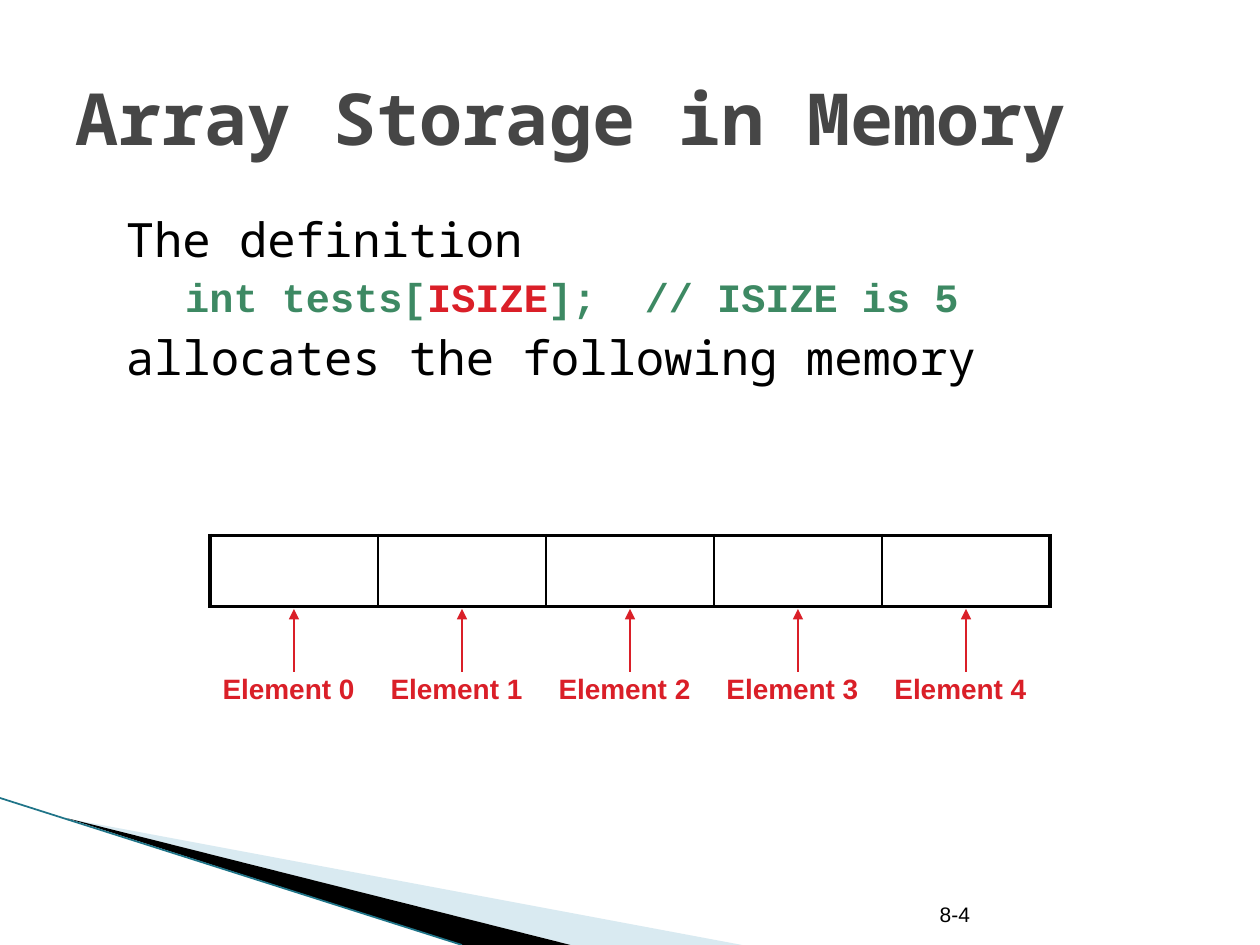
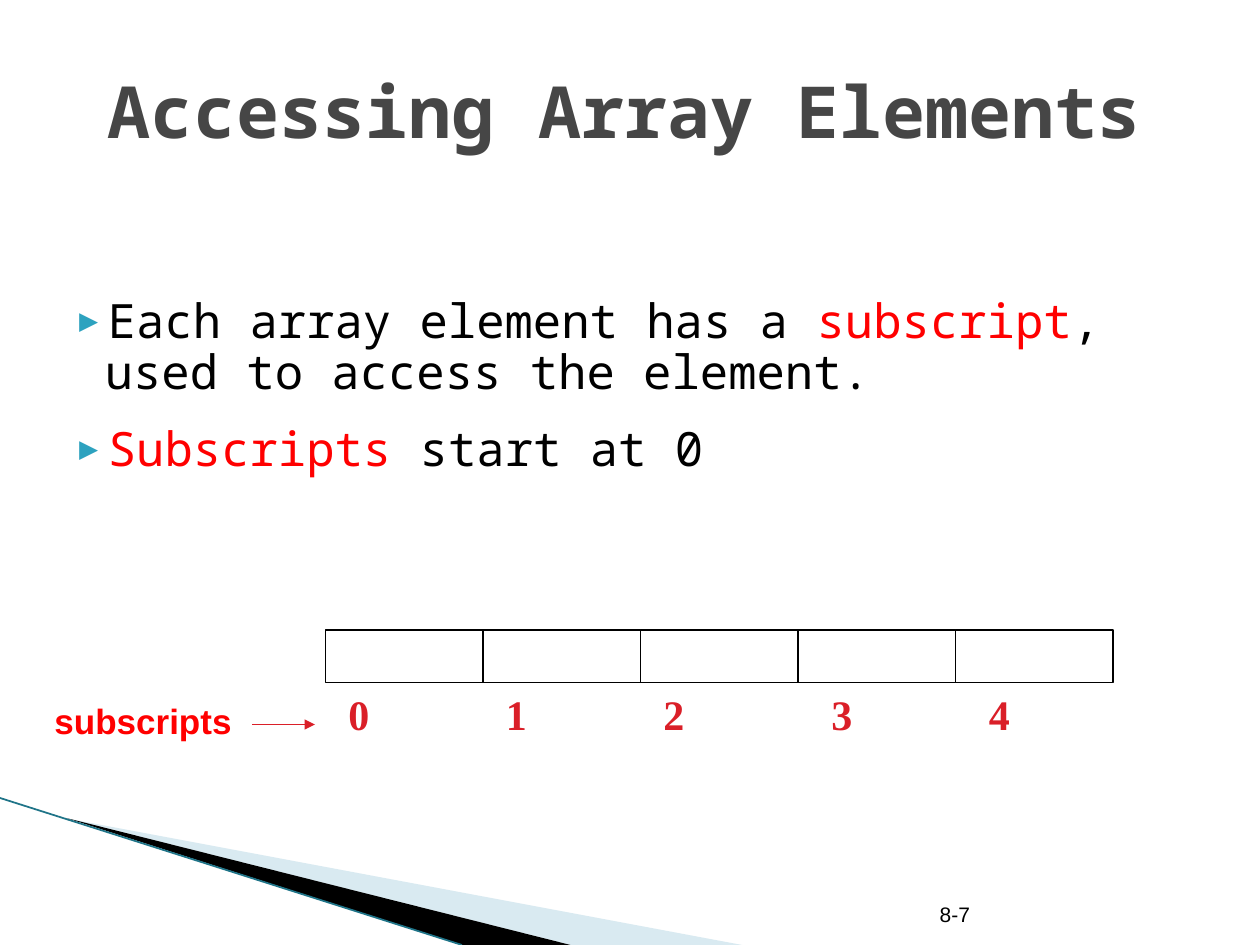
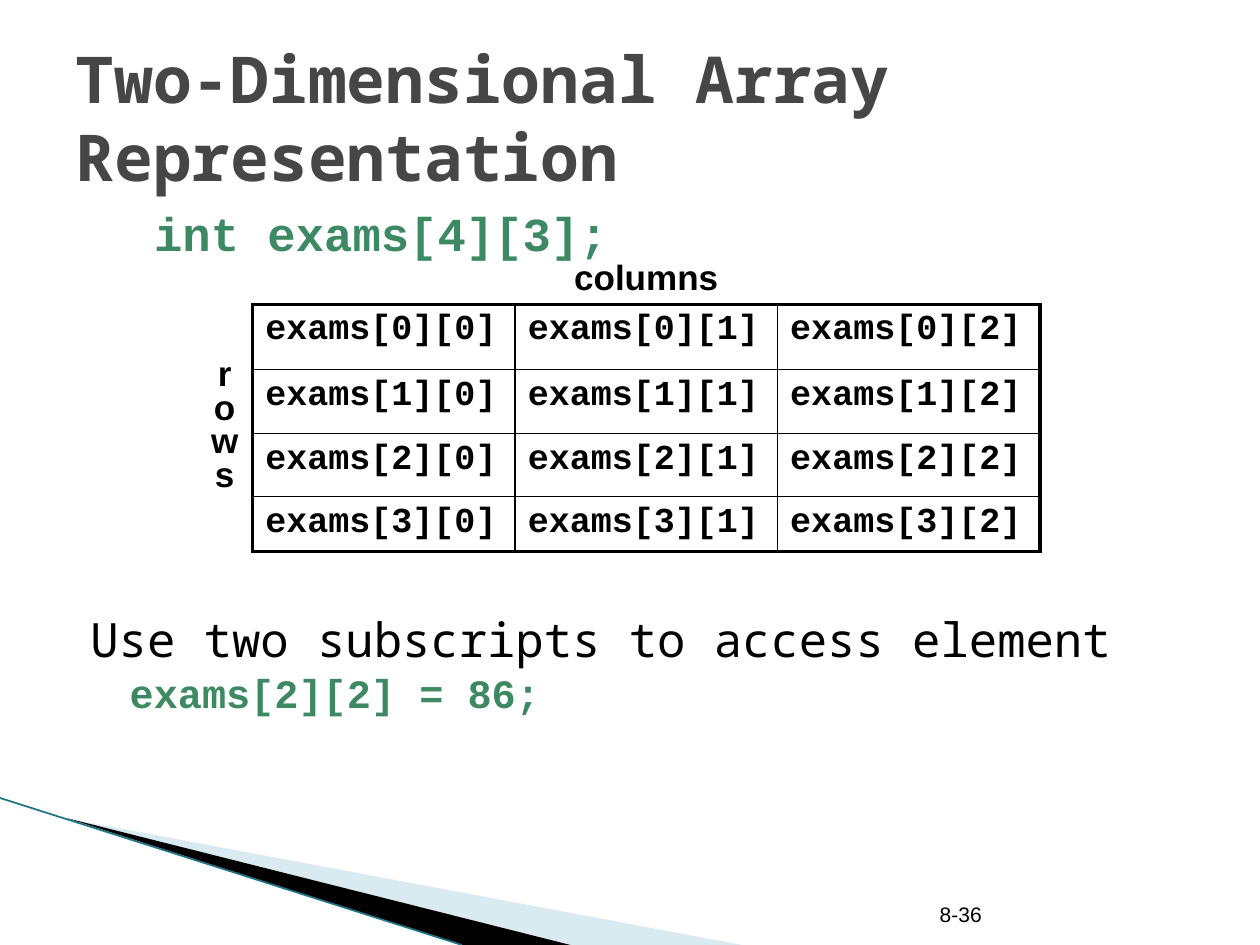
from dataclasses import dataclass
from typing import NamedTuple

from lxml.etree import SubElement
from pptx import Presentation
from pptx.dml.color import RGBColor
from pptx.enum.shapes import MSO_CONNECTOR, MSO_SHAPE
from pptx.enum.text import MSO_ANCHOR, MSO_AUTO_SIZE, PP_ALIGN
from pptx.oxml.ns import qn
from pptx.util import Pt

STRAIGHT = MSO_CONNECTOR.STRAIGHT
RECT = MSO_SHAPE.RECTANGLE
MIDDLE, BOTTOM = MSO_ANCHOR.MIDDLE, MSO_ANCHOR.BOTTOM
NO_FIT = MSO_AUTO_SIZE.NONE
LEFT, CENTER = PP_ALIGN.LEFT, PP_ALIGN.CENTER


@dataclass(frozen=True)
class Theme:
    ink: str = "000000"
    head: str = "464646"
    code: str = "3D8963"
    mark: str = "DA1F28"
    alert: str = "FF0000"
    bullet: str = "2DA2BF"
    glow: str = "A0CBDC"
    edge: str = "1F7488"
    mono: str = "Noto Sans Mono"
    fixed: str = "Courier New"
    sans: str = "Arial"
    serif: str = "Times New Roman"
    title: float = 41
    long: float = 36.9
    body: float = 27
    sub: float = 23
    digit: float = 24
    label: float = 20
    small: float = 16
    page: float = 12
    lead: float = 1.2
    thick: float = 2.25
    thin: float = 1
    hair: float = 0.75


T = Theme()


class Box(NamedTuple):
    x: float
    y: float
    w: float
    h: float


class Style(NamedTuple):
    size: float
    face: str = T.sans
    tint: str = T.ink
    bold: bool = False


class Bit(NamedTuple):
    text: str
    style: Style


class Line(NamedTuple):
    bits: list[Bit]
    left: float
    gap: float = 4
    tight: float = 1
    bullet: bool = False


BODY = Style(T.body, T.mono)
ALERT = BODY._replace(tint=T.alert)
CODE = Style(T.sub, T.fixed, T.code, True)
LABEL = Style(T.label, bold=True)
CELL = LABEL._replace(face=T.fixed)
SMALL = Style(T.small, tint=T.mark, bold=True)
DIGIT = Style(T.digit, T.serif, T.mark, True)
MAIN = Box(36, 116.6, 648, 356.4)
HEAD = Box(36, 21.6, 648, 90)


def pts(*vals: float) -> list[Pt]:
    return [Pt(v) for v in vals]


def rgb(tint: str) -> RGBColor:
    return RGBColor.from_string(tint)


def ink(font, style: Style) -> None:
    font.name, font.size, font.bold = style.face, Pt(style.size), style.bold
    font.color.rgb = rgb(style.tint)


def dress(frame, style: Style, align=LEFT) -> None:
    for para in frame.paragraphs:
        para.alignment = align
        for run in para.runs:
            ink(run.font, style)


def label(slide, box: Box, text: str, style: Style, align=LEFT):
    frame = slide.shapes.add_textbox(*pts(*box)).text_frame
    frame.word_wrap = True
    frame.text = text
    dress(frame, style, align)
    return frame


def body(slide, box: Box, lines: list[Line]) -> None:
    """Fill a text box with lines whose height is a fixed share of their size."""
    frame = slide.shapes.add_textbox(*pts(*box)).text_frame
    frame.word_wrap = True
    for i, line in enumerate(lines):
        para = frame.add_paragraph() if i else frame.paragraphs[0]
        for bit in line.bits:
            run = para.add_run()
            run.text = bit.text
            ink(run.font, bit.style)
        para.space_before = Pt(line.gap)
        para.line_spacing = Pt(line.bits[0].style.size * T.lead * line.tight)
        props = para._p.get_or_add_pPr()
        props.set("marL", str(Pt(line.left)))
        if line.bullet:
            props.set("indent", str(Pt(-20.2)))
            SubElement(SubElement(props, qn("a:buClr")), qn("a:srgbClr"), val=T.bullet)
            SubElement(props, qn("a:buSzPct"), val="68000")
            SubElement(props, qn("a:buFont"), typeface=T.mono)
            SubElement(props, qn("a:buChar"), char="▶")


def link(slide, x: float, y: float, x2: float, y2: float,
         tint: str = T.mark, width: float = T.hair, arrow: bool = True) -> None:
    wire = slide.shapes.add_connector(STRAIGHT, *pts(x, y, x2, y2))
    wire.line.color.rgb, wire.line.width = rgb(tint), Pt(width)
    if arrow:
        SubElement(wire.element.spPr.find(qn("a:ln")), qn("a:tailEnd"), type="triangle")
    SubElement(wire.element.spPr, qn("a:effectLst"))


def wedge(slide, dots: list[tuple[float, float]], tint: str):
    first, *rest = [tuple(pts(*dot)) for dot in dots]
    path = slide.shapes.build_freeform(*first)
    path.add_line_segments(rest)
    shape = path.convert_to_shape()
    shape.shadow.inherit = False
    shape.fill.solid()
    shape.fill.fore_color.rgb = rgb(tint)
    shape.line.fill.background()
    return shape


def start(deck, title: str, page: str, box: Box = HEAD,
          size: float = T.title, align=LEFT):
    """Add a slide with its corner wedges, title and page number."""
    slide = deck.slides.add_slide(deck.slide_layouts[5])
    glow = wedge(slide, [(39.6, 468), (424, 540), (326, 540)], T.glow)
    SubElement(glow.element.spPr.find(".//" + qn("a:srgbClr")), qn("a:alpha"), val="40000")
    wedge(slide, [(38, 467.5), (326, 540), (264, 540)], T.ink)
    link(slide, 0, 456, 264, 540, T.edge, T.thin, False)

    head = slide.shapes.title
    head.left, head.top, head.width, head.height = pts(*box)
    frame = head.text_frame
    frame.text = title
    frame.auto_size, frame.vertical_anchor = NO_FIT, MIDDLE
    dress(frame, Style(size, T.mono, T.head, True), align)
    frame.paragraphs[0].line_spacing = Pt(size * T.lead)

    foot = label(slide, Box(529.9, 504.2, 151, 28.8), page, Style(T.page))
    foot.vertical_anchor = BOTTOM
    return slide


def border(cell, side: str, width: float) -> None:
    props = cell._tc.get_or_add_tcPr()
    line = SubElement(props, qn("a:ln" + side), w=str(Pt(width)))
    if width:
        SubElement(SubElement(line, qn("a:solidFill")), qn("a:srgbClr"), val=T.ink)
    else:
        SubElement(line, qn("a:noFill"))


def grid(slide, x: float, y: float, col: float, rows: list[float],
         texts: list[list[str]], style: Style, ruled: bool = True) -> list:
    """Add a clear table, ruled thick outside and thin inside, and return its cells."""
    high, wide = len(texts), len(texts[0])
    table = slide.shapes.add_table(high, wide, *pts(x, y, col * wide, sum(rows))).table
    table.first_row = table.horz_banding = False
    for row, height in zip(table.rows, rows):
        row.height = Pt(height)
    for r, words in enumerate(texts):
        for c, word in enumerate(words):
            cell = table.cell(r, c)
            outer = {"L": c == 0, "R": c == wide - 1, "T": r == 0, "B": r == high - 1}
            for side, rim in outer.items():
                border(cell, side, (T.thick if rim else T.thin) if ruled else 0)
            cell.fill.background()
            cell.text = word
            dress(cell.text_frame, style)
    return list(table.iter_cells())


def storage(deck) -> None:
    slide = start(deck, "Array Storage in Memory", "8-4")
    body(slide, MAIN, [
        Line([Bit("The definition", BODY)], 28.8),
        Line([Bit("int tests[", CODE), Bit("ISIZE", CODE._replace(tint=T.mark)),
              Bit("];  // ISIZE is 5", CODE)], 62.8, 3.2),
        Line([Bit("allocates the following memory", BODY)], 28.8),
    ])
    count, left, col = 5, 120, 96
    grid(slide, left, 306, col, [40.6], [[""] * count], SMALL)
    names = [f"Element {i}" for i in range(count)]
    for cell in grid(slide, left, 384, col, [66], [names], SMALL, False):
        cell.text_frame.paragraphs[0].line_spacing = 0.85
    for i in range(count):
        mid = left + col * (i + 0.5)
        link(slide, mid, 384, mid, 348)


def access(deck) -> None:
    slide = start(deck, "Accessing Array Elements", "8-7",
                  Box(48, 18, 618, 90), align=CENTER)
    body(slide, Box(24, 166.3, 653, 300), [
        Line([Bit("Each array element has a ", BODY), Bit("subscript", ALERT),
              Bit(", used to access the element.", BODY)], 28.8, 1.5, 0.9, True),
        Line([Bit("Subscripts", ALERT), Bit(" start at 0", BODY)], 28.8, 14.8, 0.9, True),
    ])
    label(slide, Box(24, 396, 126, 31), "subscripts", LABEL._replace(tint=T.alert))
    link(slide, 144, 414, 180, 414)

    digits = label(slide, Box(186, 390, 450, 36), "0\t1\t2\t3\t4", DIGIT)
    digits.margin_left = Pt(13)
    para = digits.paragraphs[0]
    para.space_before = Pt(3)
    tabs = SubElement(para._p.get_or_add_pPr(), qn("a:tabLst"))
    for stop in (90, 180, 276, 366):
        SubElement(tabs, qn("a:tab"), pos=str(Pt(stop)), algn="l")

    for i in range(5):
        slot = slide.shapes.add_shape(RECT, *pts(186 + 90 * i, 360, 90, 30))
        slot.shadow.inherit = False
        slot.fill.background()
        slot.line.color.rgb, slot.line.width = rgb(T.ink), Pt(T.hair)


def matrix(deck) -> None:
    slide = start(deck, "Two-Dimensional Array Representation", "8-36", size=T.long)
    body(slide, MAIN, [
        Line([Bit("int exams[4][3];", CODE._replace(size=T.body))], 45, 4, 0.9),
        Line([Bit("Use two subscripts to access element", BODY)], 8.6, 202.5, 0.9),
        Line([Bit("exams[2][2] = 86;", CODE)], 31, 3.6, 0.9),
    ])
    texts = [[f"exams[{r}][{c}]" for c in range(3)] for r in range(4)]
    grid(slide, 144.4, 174, 150, [37.2, 36.6, 36, 31.2], texts, CELL)
    label(slide, Box(321, 142.5, 112, 31), "columns", LABEL)
    rows = label(slide, Box(110.4, 202.4, 36, 84), "\n".join("rows"), LABEL, CENTER)
    for para in rows.paragraphs:
        para.line_spacing = Pt(19.1)


def main() -> None:
    deck = Presentation()
    deck.slide_width, deck.slide_height = pts(720, 540)
    for build in (storage, access, matrix):
        build(deck)
    deck.save("out.pptx")


if __name__ == "__main__":
    main()
